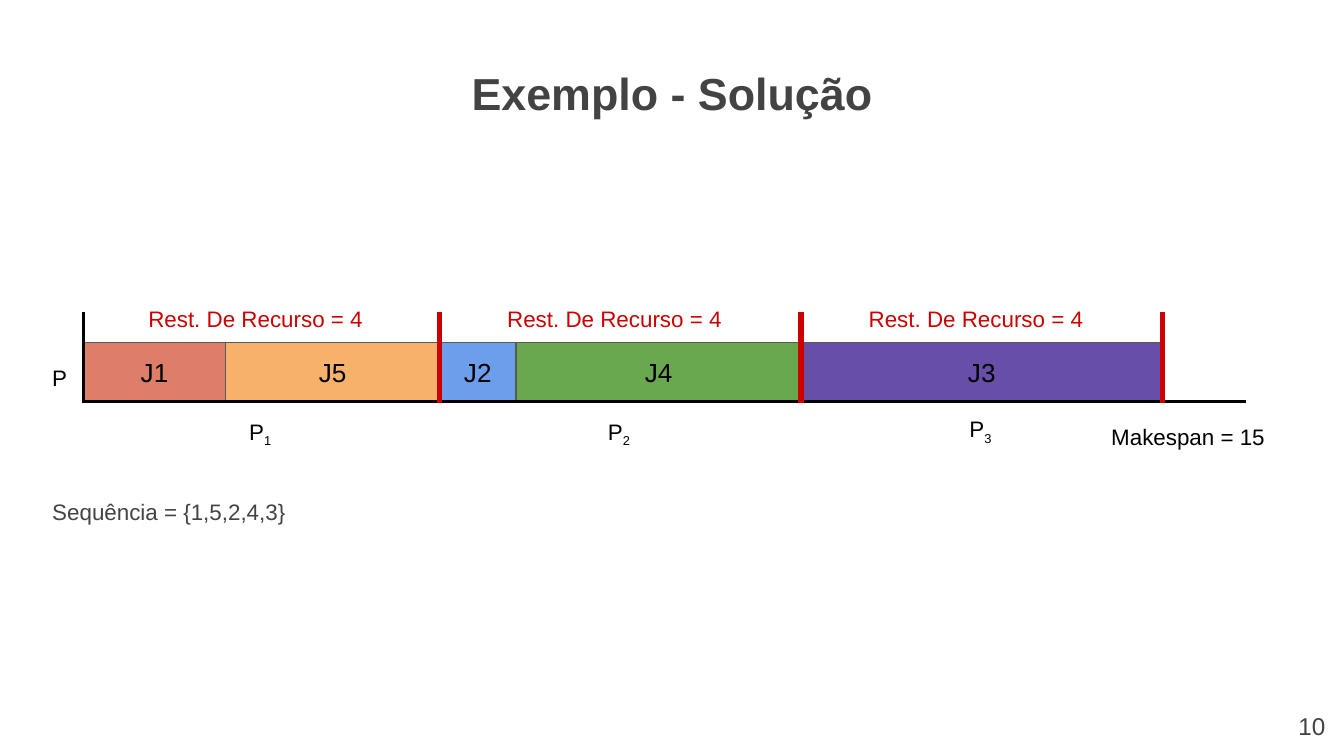
from pptx import Presentation, util as u
from pptx.dml.color import RGBColor
from pptx.enum import shapes, text
from pptx.oxml.ns import qn
from lxml import etree

COLORS = {
    "black": "000000", "gray": "434343", "border": "595959", "red": "CC0000",
    "coral": "DD7E6B", "orange": "F6B26B", "blue": "6D9EEB",
    "green": "6AA84F", "purple": "674EA7",
}
ALIGN = {"l": text.PP_ALIGN.LEFT, "c": text.PP_ALIGN.CENTER, "r": text.PP_ALIGN.RIGHT}


def rgb(name):
    return RGBColor.from_string(COLORS[name])


def write(tf, content, sub="", size=12, color="black", bold=False, align="l",
          anchor=text.MSO_ANCHOR.TOP):
    """Fill a text frame with one paragraph and an optional subscript."""
    tf.word_wrap = True
    tf.vertical_anchor = anchor
    tf.margin_left = tf.margin_right = tf.margin_top = tf.margin_bottom = u.Inches(0.1)
    p = tf.paragraphs[0]
    p.alignment = ALIGN[align]
    for part in filter(None, (content, sub)):
        r = p.add_run()
        r.text = part
        r.font.name, r.font.size, r.font.bold = "Arial", u.Pt(size), bold
        r.font.color.rgb = rgb(color)
    if sub:
        r._r.get_or_add_rPr().set("baseline", "-25000")


class GanttSlide:
    def __init__(self, prs):
        self.s = prs.slides.add_slide(prs.slide_layouts[6])

    def label(self, x, y, w, h, content, **fmt):
        sp = self.s.shapes.add_textbox(*map(u.Inches, (x, y, w, h)))
        write(sp.text_frame, content, **fmt)

    def job(self, x, y, w, h, name, fill):
        sp = self.s.shapes.add_shape(shapes.MSO_SHAPE.RECTANGLE,
                                     *map(u.Inches, (x, y, w, h)))
        sp.shadow.inherit = False
        sp.fill.solid()
        sp.fill.fore_color.rgb = rgb(fill)
        sp.line.color.rgb = rgb("border")
        sp.line.width = u.Pt(0.75)
        write(sp.text_frame, name, size=14, align="c", anchor=text.MSO_ANCHOR.MIDDLE)

    def line(self, x1, y1, x2, y2, color, width):
        c = self.s.shapes.add_connector(shapes.MSO_CONNECTOR.STRAIGHT,
                                        *map(u.Inches, (x1, y1, x2, y2)))
        c.line.color.rgb = rgb(color)
        c.line.width = u.Pt(width)
        etree.SubElement(c._element.spPr, qn("a:effectLst"))


def main():
    prs = Presentation()
    prs.slide_width = u.Inches(10)
    prs.slide_height = prs.slide_width * 9 // 16
    g = GanttSlide(prs)

    # Title and page number
    g.label(2.15, 0.39, 5.7, 1.03, "Exemplo - Solução", size=24, color="gray",
            bold=True, align="c")
    g.label(9.36, 5.19, 0.6, 0.43, "10", size=13, color="gray", align="r")

    # Jobs, each running from its start to the next one
    starts = [0.62, 1.68, 3.27, 3.84, 5.96, 8.65]
    jobs = [("J1", "coral"), ("J5", "orange"), ("J2", "blue"),
            ("J4", "green"), ("J3", "purple")]
    for (name, fill), left, right in zip(jobs, starts, starts[1:]):
        g.job(left, 2.55, right - left, 0.43, name, fill)

    # Axes
    base, top = 3, 2.32
    g.line(0.62, 2.99, 9.27, 2.99, "black", 1.5)
    g.line(0.62, base, 0.62, top, "black", 1.5)

    # Periods: closing bar, resource limit above and name below
    periods = [(0.62, 3.27, 3.01), (3.27, 5.96, 3.01), (5.96, 8.65, 2.99)]
    for i, (left, right, name_top) in enumerate(periods, 1):
        middle = (left + right) / 2
        g.line(right, base, right, top, "red", 3)
        g.label(middle - 0.94, 2.17, 1.89, 0.33, "Rest. De Recurso = 4", color="red")
        g.label(middle - 0.19, name_top, 0.38, 0.4, "P", sub=str(i))

    # Remaining labels
    g.label(8.17, 3.05, 1.54, 0.4, "Makespan = 15")
    g.label(0.29, 2.61, 0.32, 0.4, "P")
    g.label(0.29, 3.61, 2.42, 0.86, "Sequência = {1,5,2,4,3}", color="gray")

    prs.save("out.pptx")


if __name__ == "__main__":
    main()
